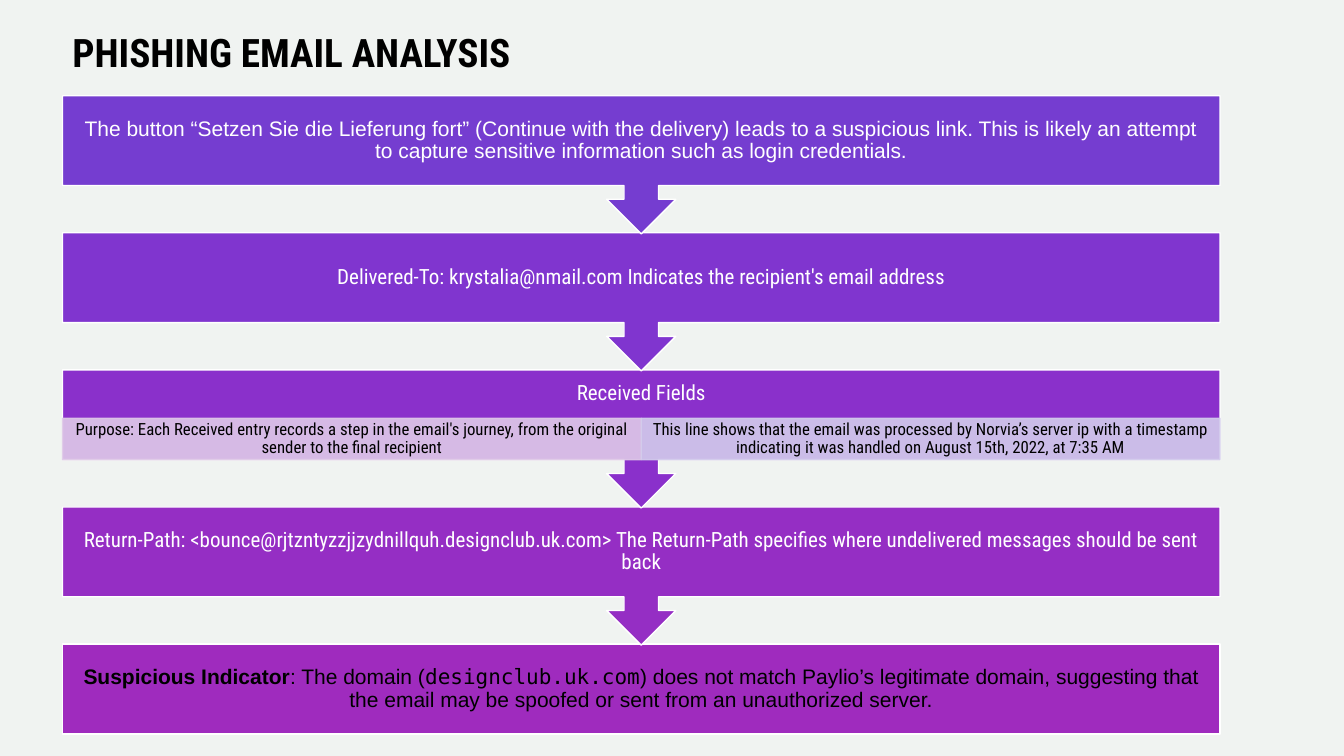
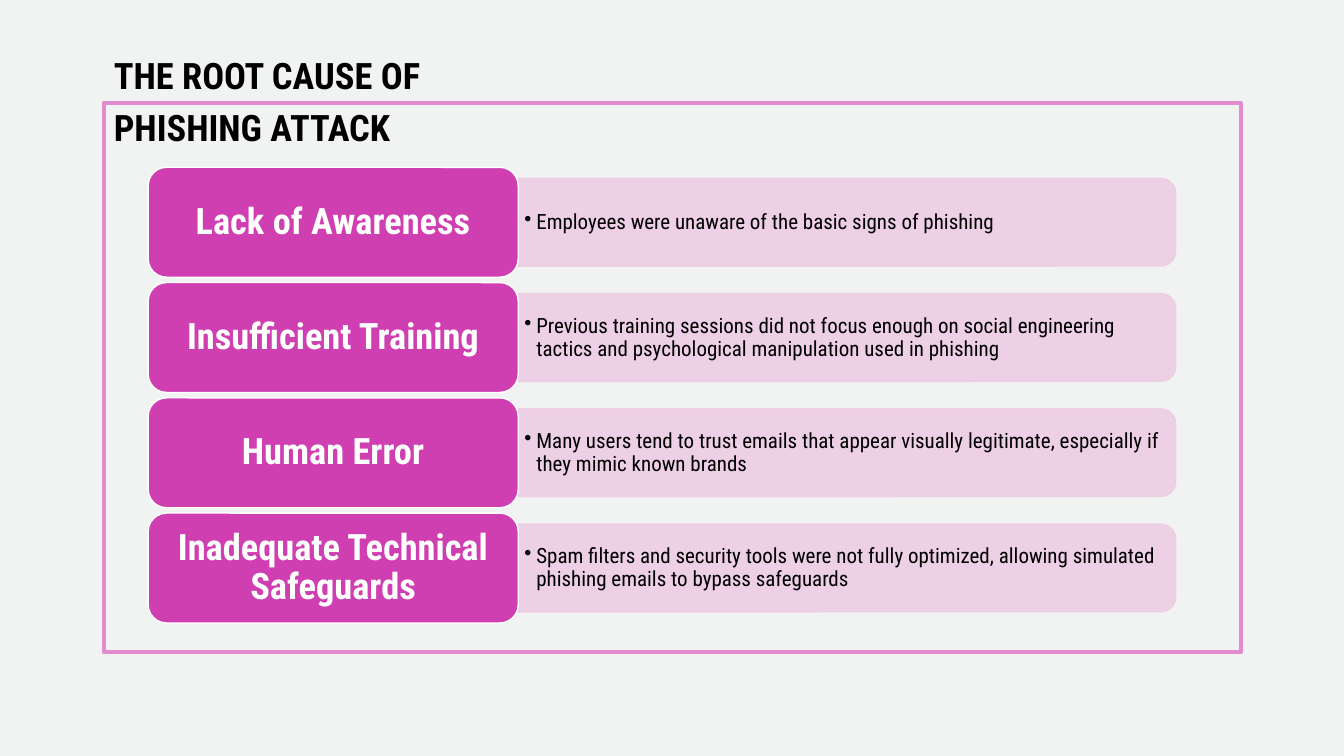
from dataclasses import dataclass

from lxml import etree
from pptx import Presentation
from pptx.dml.color import RGBColor
from pptx.enum.shapes import MSO_SHAPE
from pptx.enum.text import MSO_ANCHOR, PP_ALIGN
from pptx.oxml.ns import qn
from pptx.util import Inches, Pt

RECT = MSO_SHAPE.RECTANGLE
ROUNDED = MSO_SHAPE.ROUNDED_RECTANGLE
SIDE_ROUNDED = MSO_SHAPE.ROUND_2_SAME_RECTANGLE
CALLOUT = MSO_SHAPE.DOWN_ARROW_CALLOUT
TOP, MIDDLE = MSO_ANCHOR.TOP, MSO_ANCHOR.MIDDLE
LEFT, CENTER = PP_ALIGN.LEFT, PP_ALIGN.CENTER

BACKGROUND = "F0F3F1"
BLACK, WHITE = "000000", "FFFFFF"
FRAME, LABEL, DETAIL = "E28BCF", "CF3FB1", "EDCDE4"
ROBOTO, ARIAL, MONO = "Roboto Condensed", "Arial", "DejaVu Sans Mono"

STEP_LEFT, STEP_TOP, STEP_W = 0.62, 0.95, 11.48
STEP_PITCH, CALLOUT_H, STEP_H = 1.36, 1.37, 0.89
FIELD_TOP, FIELD_H = 0.48, 0.41
STEP_INSET = 0.12

CAUSE_LEFT, CAUSE_TOP, LAST_CAUSE_TOP = 1.47, 1.66, 5.09
LABEL_W, LABEL_H = 3.67, 1.09
DETAIL_W, DETAIL_H = 6.52, 0.87
BULLET_INDENT = 0.12


@dataclass(frozen=True)
class Run:
    text: str
    font: str = ROBOTO
    bold: bool = False


@dataclass(frozen=True)
class Style:
    size: int
    color: str
    align: PP_ALIGN = CENTER
    anchor: MSO_ANCHOR = MIDDLE
    spacing: float = 0.9
    bullet: bool = False


@dataclass(frozen=True)
class Field:
    text: str
    fill: str


@dataclass(frozen=True)
class Step:
    runs: tuple[Run, ...]
    fill: str
    color: str = WHITE
    fields: tuple[Field, ...] = ()


@dataclass(frozen=True)
class Cause:
    label: str
    detail: str


STEP_TEXT = Style(15, WHITE)
FIELD_TEXT = Style(12, BLACK)
LABEL_TEXT = Style(26, WHITE)
DETAIL_TEXT = Style(15, BLACK, align=LEFT, bullet=True)

STEPS = (
    Step((Run("The button “Setzen Sie die Lieferung fort” (Continue with the delivery) leads to a "
              "suspicious link. This is likely an attempt to capture sensitive information such as "
              "login credentials.", ARIAL),), "753DD0"),
    Step((Run("Delivered-To: krystalia@nmail.com Indicates the recipient's email address"),), "8035CF"),
    Step((Run("Received Fields"),), "8A30CB", fields=(
        Field("Purpose: Each Received entry records a step in the email's journey, from the original "
              "sender to the final recipient", "DFCAE8"),
        Field("This line shows that the email was processed by Norvia’s server ip with a timestamp "
              "indicating it was handled on August 15th, 2022, at 7:35 AM", "D3CCEC"),
    )),
    Step((Run("Return-Path: <bounce@rjtzntyzzjjzydnillquh.designclub.uk.com> The Return-Path specifies "
              "where undelivered messages should be sent back"),), "952EC4"),
    Step((Run("Suspicious Indicator", ARIAL, True),
          Run(": The domain (", ARIAL),
          Run("designclub.uk.com", MONO),
          Run(") does not match Paylio’s legitimate domain, suggesting that the email may be spoofed "
              "or sent from an unauthorized server.", ARIAL)), "9F2BBE", BLACK),
)

CAUSES = (
    Cause("Lack of Awareness", "Employees were unaware of the basic signs of phishing"),
    Cause("Insufficient Training",
          "Previous training sessions did not focus enough on social engineering tactics and "
          "psychological manipulation used in phishing"),
    Cause("Human Error",
          "Many users tend to trust emails that appear visually legitimate, especially if they mimic "
          "known brands"),
    Cause("Inadequate Technical Safeguards",
          "Spam filters and security tools were not fully optimized, allowing simulated phishing "
          "emails to bypass safeguards"),
)


def rgb(color: str) -> RGBColor:
    return RGBColor.from_string(color)


def box(left: float, top: float, width: float, height: float) -> tuple:
    return Inches(left), Inches(top), Inches(width), Inches(height)


def add_bullet(p) -> None:
    pPr = p._p.get_or_add_pPr()
    pPr.set("marL", str(Inches(BULLET_INDENT)))
    pPr.set("indent", str(-Inches(BULLET_INDENT)))
    etree.SubElement(pPr, qn("a:buChar")).set("char", "•")


def write(sp, runs: tuple[Run, ...], style: Style, insets: tuple) -> None:
    tf = sp.text_frame
    tf.word_wrap = True
    tf.vertical_anchor = style.anchor
    tf.margin_left, tf.margin_top, tf.margin_right, tf.margin_bottom = map(Inches, insets)
    p = tf.paragraphs[0]
    if style.bullet:
        add_bullet(p)
    p.alignment = style.align
    p.line_spacing = style.spacing
    for run in runs:
        r = p.add_run()
        r.text = run.text
        r.font.name = run.font
        r.font.size = Pt(style.size)
        r.font.bold = run.bold
        r.font.color.rgb = rgb(style.color)


def add_box(s, kind: MSO_SHAPE, at: tuple, fill: str | None, line: str,
            weight: float = 1, opacity: int = 100):
    sp = s.shapes.add_shape(kind, *box(*at))
    sp.shadow.inherit = False
    if fill:
        sp.fill.solid()
        sp.fill.fore_color.rgb = rgb(fill)
    else:
        sp.fill.background()
    sp.line.color.rgb = rgb(line)
    sp.line.width = Pt(weight)
    if opacity < 100:
        for color in sp._element.spPr.iter(qn("a:srgbClr")):
            etree.SubElement(color, qn("a:alpha")).set("val", str(opacity * 1000))
    return sp


def add_text(s, at: tuple, runs: tuple[Run, ...], style: Style, insets: tuple) -> None:
    write(s.shapes.add_textbox(*box(*at)), runs, style, insets)


def add_title(s, text: str, at: tuple, size: int) -> None:
    style = Style(size, BLACK, align=LEFT, anchor=TOP, spacing=1.2)
    add_text(s, at, (Run(text, bold=True),), style, (0.1, 0.05, 0.1, 0.05))


def add_step(s, step: Step, top: float, last: bool) -> None:
    kind, height = (RECT, STEP_H) if last else (CALLOUT, CALLOUT_H)
    sp = add_box(s, kind, (STEP_LEFT, top, STEP_W, height), step.fill, WHITE)
    if not last:
        for i, value in enumerate((0.25, 0.25, 0.25, 0.65)):
            sp.adjustments[i] = value
    bottom = STEP_INSET + (FIELD_H if step.fields else 0)
    write(sp, step.runs, Style(STEP_TEXT.size, step.color),
          (STEP_INSET, STEP_INSET, STEP_INSET, bottom))
    for i, field in enumerate(step.fields):
        width = STEP_W / len(step.fields)
        at = (STEP_LEFT + i * width, top + FIELD_TOP, width, FIELD_H)
        sp = add_box(s, RECT, at, field.fill, field.fill, opacity=90)
        write(sp, (Run(field.text),), FIELD_TEXT, (0.09, 0.02, 0.09, 0.02))


def add_cause(s, cause: Cause, top: float) -> None:
    detail_left = CAUSE_LEFT + LABEL_W
    middle = top + LABEL_H / 2
    upright = (detail_left + (DETAIL_W - DETAIL_H) / 2, middle - DETAIL_W / 2, DETAIL_H, DETAIL_W)
    sp = add_box(s, SIDE_ROUNDED, upright, DETAIL, DETAIL, opacity=90)
    sp.rotation = 90
    add_text(s, (detail_left, middle - 0.39, 6.47, 0.79), (Run(cause.detail),), DETAIL_TEXT,
             (0.06, 0.03, 0.06, 0.03))
    sp = add_box(s, ROUNDED, (CAUSE_LEFT, top, LABEL_W, LABEL_H), LABEL, WHITE)
    write(sp, (Run(cause.label, bold=True),), LABEL_TEXT, (0.11, 0.05, 0.11, 0.05))


def build_analysis(s) -> None:
    add_title(s, "PHISHING EMAIL ANALYSIS", (0.62, 0.14, 6.04, 1.74), 28)
    last = len(STEPS) - 1
    for i in range(last, -1, -1):
        add_step(s, STEPS[i], STEP_TOP + i * STEP_PITCH, i == last)


def build_causes(s) -> None:
    add_box(s, RECT, (1.03, 1.02, 11.28, 5.45), None, FRAME, weight=3)
    add_title(s, "THE ROOT CAUSE OF PHISHING ATTACK", (1.03, 0.39, 4.28, 1.28), 26)
    pitch = (LAST_CAUSE_TOP - CAUSE_TOP) / (len(CAUSES) - 1)
    for i, cause in enumerate(CAUSES):
        add_cause(s, cause, CAUSE_TOP + i * pitch)


def main() -> None:
    prs = Presentation()
    prs.slide_width, prs.slide_height = Inches(13.33), Inches(7.5)
    fill = prs.slide_master.background.fill
    fill.solid()
    fill.fore_color.rgb = rgb(BACKGROUND)
    for build in (build_analysis, build_causes):
        build(prs.slides.add_slide(prs.slide_layouts[6]))
    prs.save("out.pptx")


if __name__ == "__main__":
    main()
